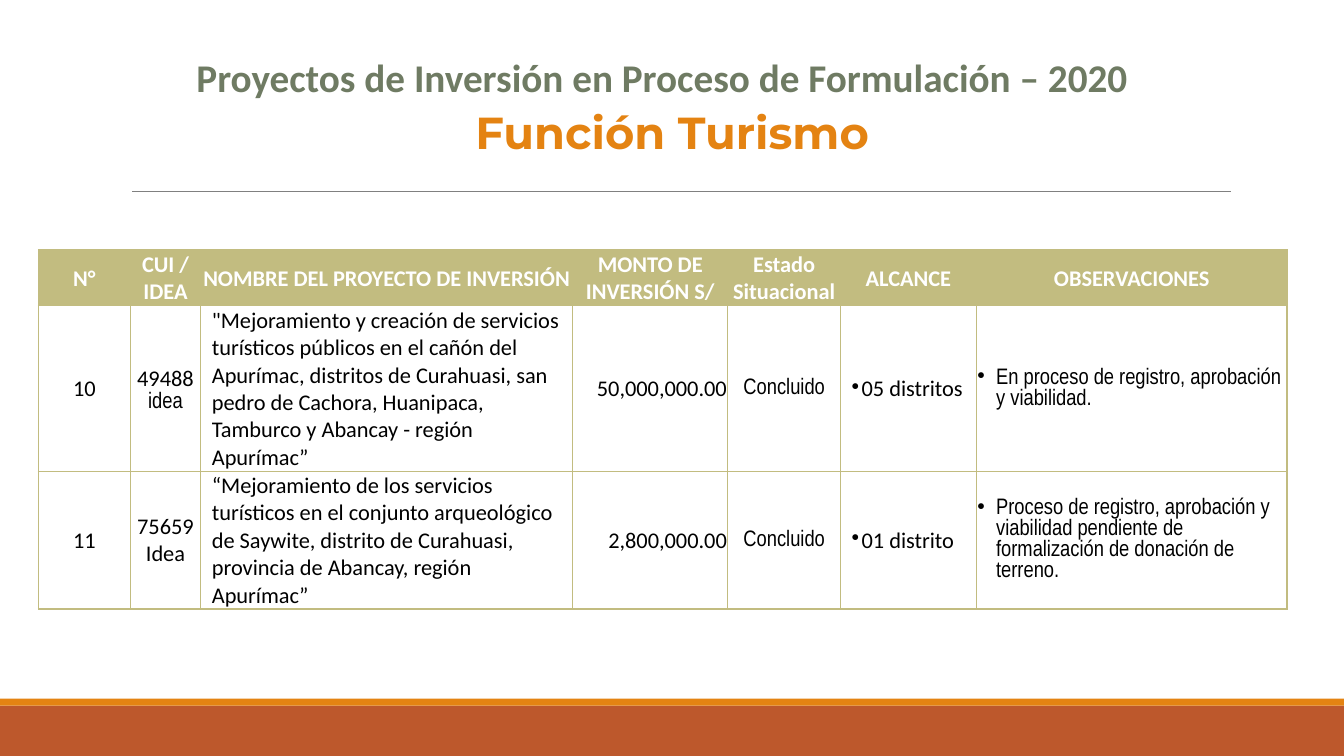
import pptx
import pptx.util
import pptx.dml.color
import pptx.enum.shapes
import pptx.enum.text
import pptx.oxml
import pptx.oxml.ns
import lxml.etree

Pt = pptx.util.Pt
ALIGN = pptx.enum.text.PP_ALIGN
MIDDLE = pptx.enum.text.MSO_ANCHOR.MIDDLE
BOTTOM = pptx.enum.text.MSO_ANCHOR.BOTTOM
SHAPE = pptx.enum.shapes.MSO_SHAPE.RECTANGLE
LINE = pptx.enum.shapes.MSO_CONNECTOR.STRAIGHT
NARROW = "Arial Narrow"
OLIVE = "C2BC80"
ORANGE = "E48312"

TITLE = "Proyectos de Inversión en Proceso de Formulación – 2020"
TOPIC = "Función Turismo"
HEADS = ["N°", "CUI / IDEA", "NOMBRE DEL PROYECTO DE INVERSIÓN",
         "MONTO DE INVERSIÓN S/", "Estado Situacional", "ALCANCE",
         "OBSERVACIONES"]
ROWS = [
    ["10", "49488\nidea",
     "\"Mejoramiento y creación de servicios turísticos públicos en el cañón "
     "del Apurímac, distritos de Curahuasi, san pedro de Cachora, Huanipaca, "
     "Tamburco y Abancay - región Apurímac”",
     "50,000,000.00", "Concluido", "05 distritos",
     "En proceso de registro, aprobación y viabilidad."],
    ["11", "75659\nIdea",
     "“Mejoramiento de los servicios turísticos en el conjunto arqueológico "
     "de Saywite, distrito de Curahuasi, provincia de Abancay, región "
     "Apurímac”",
     "2,800,000.00", "Concluido", "01 distrito",
     "Proceso de registro, aprobación y viabilidad pendiente de "
     "formalización de donación de terreno."],
]
WIDTHS = [65.5, 50.5, 265.5, 111, 80.5, 97, 222]
HEIGHTS = [40, 118, 98.5]
STYLES = [
    {}, {}, {"align": ALIGN.LEFT, "left": 7.2}, {"align": ALIGN.RIGHT},
    {"font": NARROW},
    {"align": ALIGN.LEFT, "left": 14.4, "hang": 7.2, "bullet": "•"},
    {"align": ALIGN.LEFT, "left": 13.5, "hang": 13.5, "bullet": "•",
     "font": NARROW},
]


def tint(code):
    return pptx.dml.color.RGBColor.from_string(code)


def write(frame, text, size=16, font="Calibri", color="000000", bold=False,
          align=ALIGN.CENTER, left=0, hang=0, bullet=None):
    frame.text = text
    frame.word_wrap = True
    for para in frame.paragraphs:
        para.alignment = align
        props = para._p.get_or_add_pPr()
        props.set("marL", str(Pt(left)))
        props.set("indent", str(-Pt(hang)))
        if bullet:
            mark = lxml.etree.SubElement(props, pptx.oxml.ns.qn("a:buChar"))
            mark.set("char", bullet)
        for run in para.runs:
            run.font.size = Pt(size)
            run.font.name = font
            run.font.bold = bold
            run.font.color.rgb = tint(color)


def trim(frame):
    """Anchor text at the bottom of a frame without insets."""
    frame.margin_left = frame.margin_right = 0
    frame.margin_top = frame.margin_bottom = 0
    frame.vertical_anchor = BOTTOM


def edge(cell, color):
    """Draw a thin border on all four sides of a cell."""
    props = cell._tc.get_or_add_tcPr()
    for place, side in enumerate(["lnL", "lnR", "lnT", "lnB"]):
        props.insert(place, pptx.oxml.parse_xml(
            f'<a:{side} {pptx.oxml.ns.nsdecls("a")} w="{Pt(1)}"><a:solidFill>'
            f'<a:srgbClr val="{color}"/></a:solidFill></a:{side}>'))


def band(slide, top, height, color):
    bar = slide.shapes.add_shape(SHAPE, 0, Pt(top), Pt(960), Pt(height))
    bar.shadow.inherit = False
    bar.fill.solid()
    bar.fill.fore_color.rgb = tint(color)
    bar.line.fill.background()


def rule(slide):
    line = slide.shapes.add_connector(LINE, Pt(94.5), Pt(136.5),
                                      Pt(879), Pt(136.5))
    line.line.color.rgb = tint("808080")
    line.line.width = Pt(0.5)
    lxml.etree.SubElement(line._element.spPr, pptx.oxml.ns.qn("a:effectLst"))


def grid(slide):
    table = slide.shapes.add_table(
        len(HEIGHTS), len(WIDTHS), Pt(27.5), Pt(178.5),
        Pt(sum(WIDTHS)), Pt(sum(HEIGHTS))).table
    for col, width in zip(table.columns, WIDTHS):
        col.width = Pt(width)
    for row, height in zip(table.rows, HEIGHTS):
        row.height = Pt(height)
    for r, texts in enumerate([HEADS] + ROWS):
        for c, text in enumerate(texts):
            cell = table.cell(r, c)
            cell.margin_left = cell.margin_right = cell.margin_top = Pt(0.7)
            cell.margin_bottom = 0
            cell.vertical_anchor = MIDDLE
            cell.fill.solid()
            cell.fill.fore_color.rgb = tint("FFFFFF" if r else OLIVE)
            edge(cell, OLIVE)
            style = STYLES[c] if r else {"color": "FFFFFF", "bold": True}
            write(cell.text_frame, text, **style)
    idea = table.cell(1, 1).text_frame.paragraphs[1]
    idea.runs[0].font.name = NARROW


def main():
    deck = pptx.Presentation()
    deck.slide_width, deck.slide_height = Pt(960), Pt(540)
    slide = deck.slides.add_slide(deck.slide_layouts[5])
    band(slide, 504, 36, "BD582C")
    band(slide, 499, 5, ORANGE)
    rule(slide)
    title = slide.shapes.title
    title.left, title.top = Pt(26), Pt(24.5)
    title.width, title.height = Pt(893.5), Pt(47.5)
    write(title.text_frame, TITLE, size=28, color="6F7B63", bold=True)
    trim(title.text_frame)
    grid(slide)
    topic = slide.shapes.add_textbox(Pt(329), Pt(66), Pt(302.5), Pt(47.5))
    write(topic.text_frame, TOPIC, size=32, font="Montserrat", color=ORANGE,
          bold=True)
    trim(topic.text_frame)
    deck.save("out.pptx")


if __name__ == "__main__":
    main()
